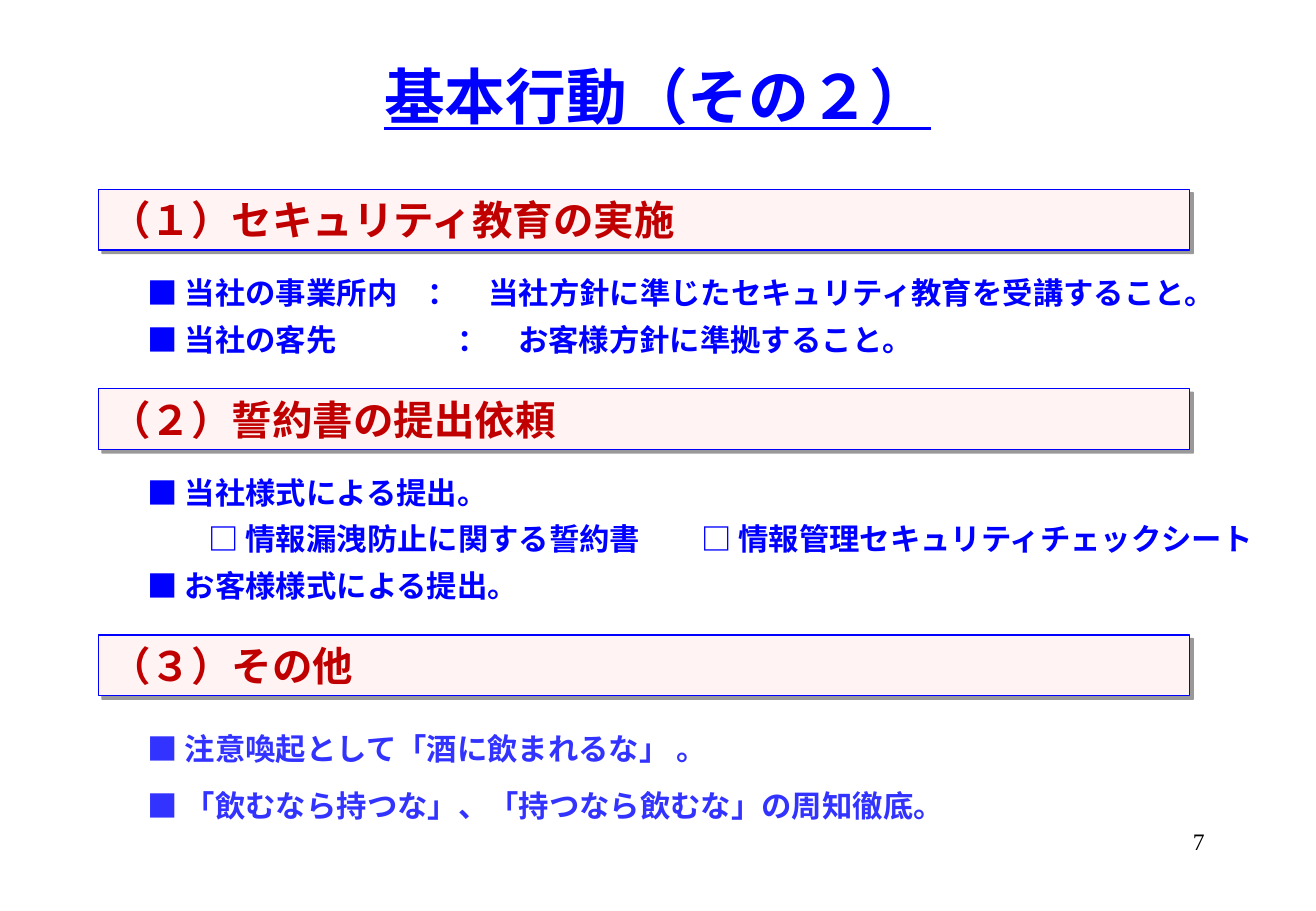
import pptx
import pptx.dml.color
import pptx.enum.shapes
import pptx.enum.text
import pptx.util
from lxml import etree
from pptx.util import Cm, Pt

GOTHIC = "Noto Sans CJK JP"
SERIF = "Times New Roman"
BLUE, LIGHT_BLUE, RED = "0000FF", "3333FF", "C00000"
ALIGN = pptx.enum.text.PP_ALIGN
ANCHOR = pptx.enum.text.MSO_ANCHOR
A = "http://schemas.openxmlformats.org/drawingml/2006/main"

TITLE = "基本行動（その２）"
PAGE = "7"
# heading, heading top, body top, body height, colour, gap in points, (line, tab stops in cm)
SECTIONS = [
    ("（１）セキュリティ教育の実施", 3.96, 5.62, 2.0, BLUE, 6, [
        ("■ 当社の事業所内　：　当社方針に準じたセキュリティ教育を受講すること。", []),
        ("■ 当社の客先\t：　お客様方針に準拠すること。", [6.48]),
    ]),
    ("（２）誓約書の提出依頼", 8.13, 9.79, 2.97, BLUE, 6, [
        ("■ 当社様式による提出。", []),
        ("\t□ 情報漏洩防止に関する誓約書\t□ 情報管理セキュリティチェックシート", [1.27, 11.58]),
        ("■ お客様様式による提出。", []),
    ]),
    ("（３）その他", 13.28, 15.15, 2.2, LIGHT_BLUE, 12, [
        ("■ 注意喚起として「酒に飲まれるな」 。", []),
        ("■ 「飲むなら持つな」、「持つなら飲むな」の周知徹底。", []),
    ]),
]


def rgb(color):
    return pptx.dml.color.RGBColor.from_string(color)


def add_tabs(p, stops):
    if stops:
        tabs = etree.SubElement(p._p.get_or_add_pPr(), f"{{{A}}}tabLst")
        for stop in stops:
            etree.SubElement(tabs, f"{{{A}}}tab", pos=str(Cm(stop)), algn="l")


def add_text(p, text, size, color, font=GOTHIC, bold=True, underline=None):
    r = p.add_run()
    r.text = text
    f = r.font
    f.name, f.size, f.bold, f.underline = font, Pt(size), bold, underline
    f.color.rgb = rgb(color)
    latin = r._r.rPr.find(f"{{{A}}}latin")
    latin.addnext(etree.Element(f"{{{A}}}ea", typeface=GOTHIC))


def text_box(s, left, top, width, height, anchor=ANCHOR.TOP):
    tf = s.shapes.add_textbox(Cm(left), Cm(top), Cm(width), Cm(height)).text_frame
    tf.word_wrap = True
    tf.vertical_anchor = anchor
    return tf


def add_shadow(sp):
    """Give the shape a hard grey shadow to the lower right."""
    sp.shadow.inherit = False
    effects = sp._element.spPr.find(f"{{{A}}}effectLst")
    shadow = etree.SubElement(effects, f"{{{A}}}outerShdw", blurRad="0",
                              dist=str(Pt(3)), dir="2700000", algn="tl", rotWithShape="0")
    black = etree.SubElement(shadow, f"{{{A}}}srgbClr", val="000000")
    etree.SubElement(black, f"{{{A}}}alpha", val="40000")


def add_heading(s, text, top):
    sp = s.shapes.add_shape(pptx.enum.shapes.MSO_SHAPE.RECTANGLE,
                            Cm(2.06), Cm(top), Cm(22.83), Cm(1.27))
    sp.fill.solid()
    sp.fill.fore_color.rgb = rgb("FFF3F3")
    sp.line.color.rgb = rgb(BLUE)
    sp.line.width = Pt(0.75)
    add_shadow(sp)
    tf = sp.text_frame
    tf.word_wrap = True
    tf.margin_top = tf.margin_bottom = 0
    tf.vertical_anchor = ANCHOR.MIDDLE
    p = tf.paragraphs[0]
    p.alignment = ALIGN.LEFT
    add_text(p, text, 24, RED)


def add_body(s, top, height, color, gap, lines):
    tf = text_box(s, 2.84, top, 24.66, height)
    for i, (line, stops) in enumerate(lines):
        p = tf.add_paragraph() if i else tf.paragraphs[0]
        p.line_spacing = Pt(21.5)
        if i:
            p.space_before = Pt(gap)
        add_tabs(p, stops)
        add_text(p, line, 18, color)


def main():
    prs = pptx.Presentation()
    prs.slide_width, prs.slide_height = Cm(27.53), Cm(19.05)
    s = prs.slides.add_slide(prs.slide_layouts[6])

    p = text_box(s, 0, 0, 27.51, 3.99, ANCHOR.MIDDLE).paragraphs[0]
    p.alignment = ALIGN.CENTER
    add_text(p, TITLE, 36, BLUE, SERIF, underline=True)

    for heading, heading_top, *body in SECTIONS:
        add_heading(s, heading, heading_top)
        add_body(s, *body)

    p = text_box(s, 19.71, 17.17, 5.74, 1.27).paragraphs[0]
    p.alignment = ALIGN.RIGHT
    add_text(p, PAGE, 14, "000000", SERIF, bold=False)

    prs.save("out.pptx")


if __name__ == "__main__":
    main()
